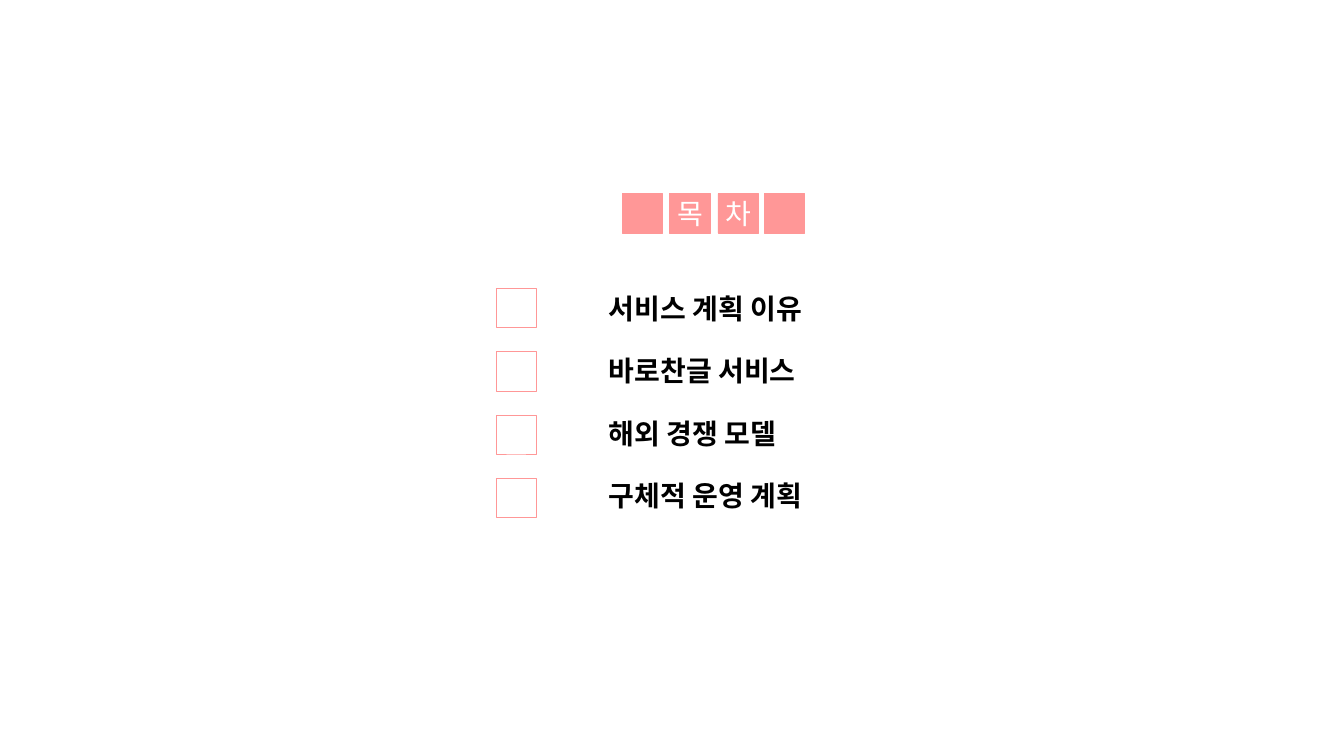
from dataclasses import dataclass

from lxml import etree
from pptx import Presentation
from pptx.dml.color import RGBColor
from pptx.enum.shapes import MSO_SHAPE
from pptx.enum.text import MSO_ANCHOR, MSO_AUTO_SIZE, PP_ALIGN
from pptx.oxml.ns import qn
from pptx.util import Inches, Pt

RECT = MSO_SHAPE.RECTANGLE
LEFT = PP_ALIGN.LEFT
TOP = MSO_ANCHOR.TOP
NO_AUTOFIT = MSO_AUTO_SIZE.NONE
TITLE_ONLY = 5


@dataclass(frozen=True)
class Theme:
    font: str = "Noto Sans CJK KR"
    pink: RGBColor = RGBColor(0xFF, 0x97, 0x97)
    white: RGBColor = RGBColor(0xFF, 0xFF, 0xFF)
    black: RGBColor = RGBColor(0, 0, 0)
    size: int = 20
    hairline: float = 0.25


THEME = Theme()
TITLE = "목차"
TITLE_SPACING = 16
TILE_LEFTS = (6.17, 6.64, 7.12, 7.58)
ITEMS = ("서비스 계획 이유", "바로찬글 서비스", "해외 경쟁 모델", "구체적 운영 계획")
BOX_TOP, BOX_PITCH = 2.86, 0.627
ITEM_TOP, ITEM_PITCH = 2.84, 0.62


def write_text(sp, text, color=THEME.black, bold=False, spacing=0):
    tf = sp.text_frame
    tf.word_wrap = True
    tf.auto_size = NO_AUTOFIT
    tf.vertical_anchor = TOP
    p = tf.paragraphs[0]
    p.alignment = LEFT
    r = p.add_run()
    r.text = text
    r.font.name = THEME.font
    r.font.size = Pt(THEME.size)
    r.font.bold = bold
    r.font.color.rgb = color
    rPr = r._r.get_or_add_rPr()
    etree.SubElement(rPr, qn("a:ea")).set("typeface", THEME.font)
    if spacing:
        rPr.set("spc", str(spacing * 100))


def add_square(slide, left, top, filled=False):
    sp = slide.shapes.add_shape(
        RECT, Inches(left), Inches(top), Inches(0.4), Inches(0.39))
    sp.shadow.inherit = False
    sp.line.color.rgb = THEME.pink
    sp.line.width = Pt(THEME.hairline)
    if filled:
        sp.fill.solid()
        sp.fill.fore_color.rgb = THEME.pink
    else:
        sp.fill.background()


def add_title(slide):
    for left in TILE_LEFTS:
        add_square(slide, left, 1.92, filled=True)
    sp = slide.shapes.title
    sp.left, sp.top = Inches(6.62), Inches(1.9)
    sp.width, sp.height = Inches(1.3), Inches(0.44)
    write_text(sp, TITLE, color=THEME.white, spacing=TITLE_SPACING)
    slide.shapes._spTree.append(sp._element)


def add_item(slide, index, text):
    add_square(slide, 4.92, BOX_TOP + index * BOX_PITCH)
    sp = slide.shapes.add_textbox(
        Inches(5.94), Inches(ITEM_TOP + index * ITEM_PITCH),
        Inches(4.14), Inches(0.44))
    write_text(sp, text, bold=True)


def main():
    prs = Presentation()
    prs.slide_width = Inches(13.33)
    prs.slide_height = Inches(7.5)
    slide = prs.slides.add_slide(prs.slide_layouts[TITLE_ONLY])
    add_title(slide)
    for index, text in enumerate(ITEMS):
        add_item(slide, index, text)
    prs.save("out.pptx")


if __name__ == "__main__":
    main()
